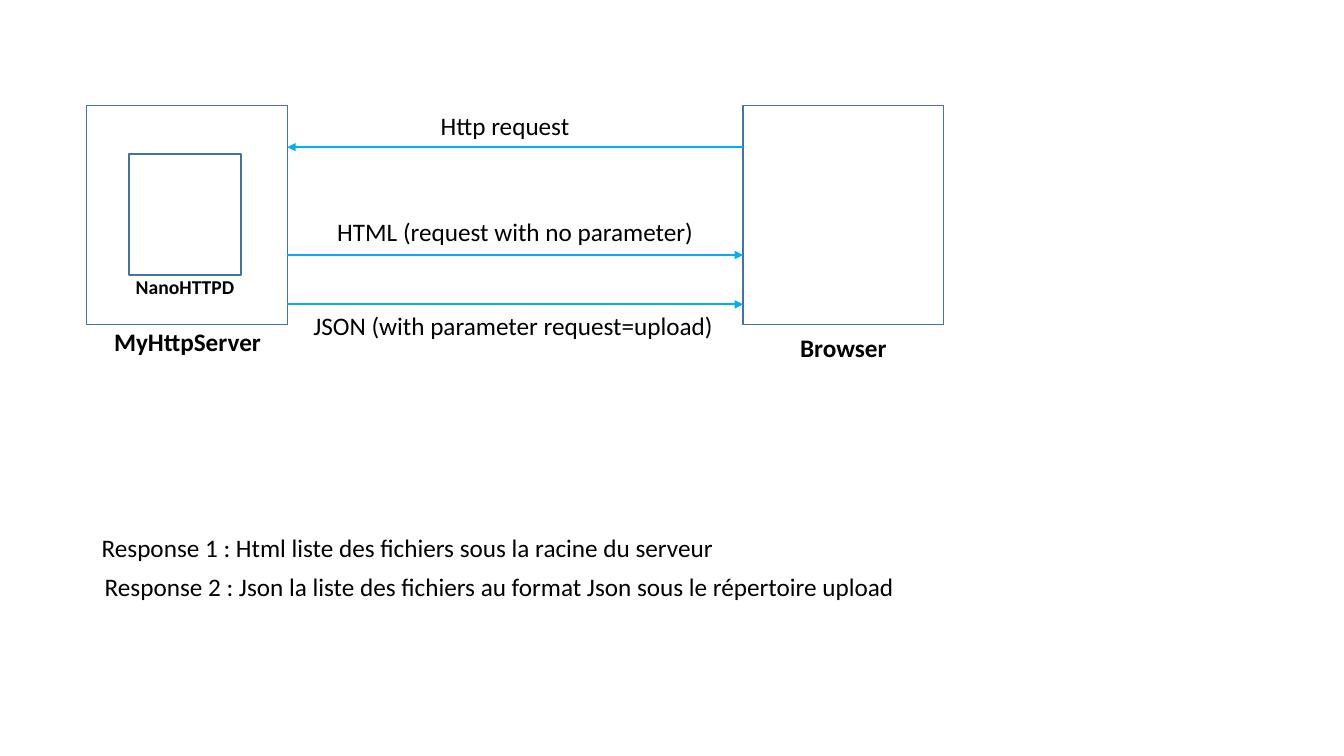
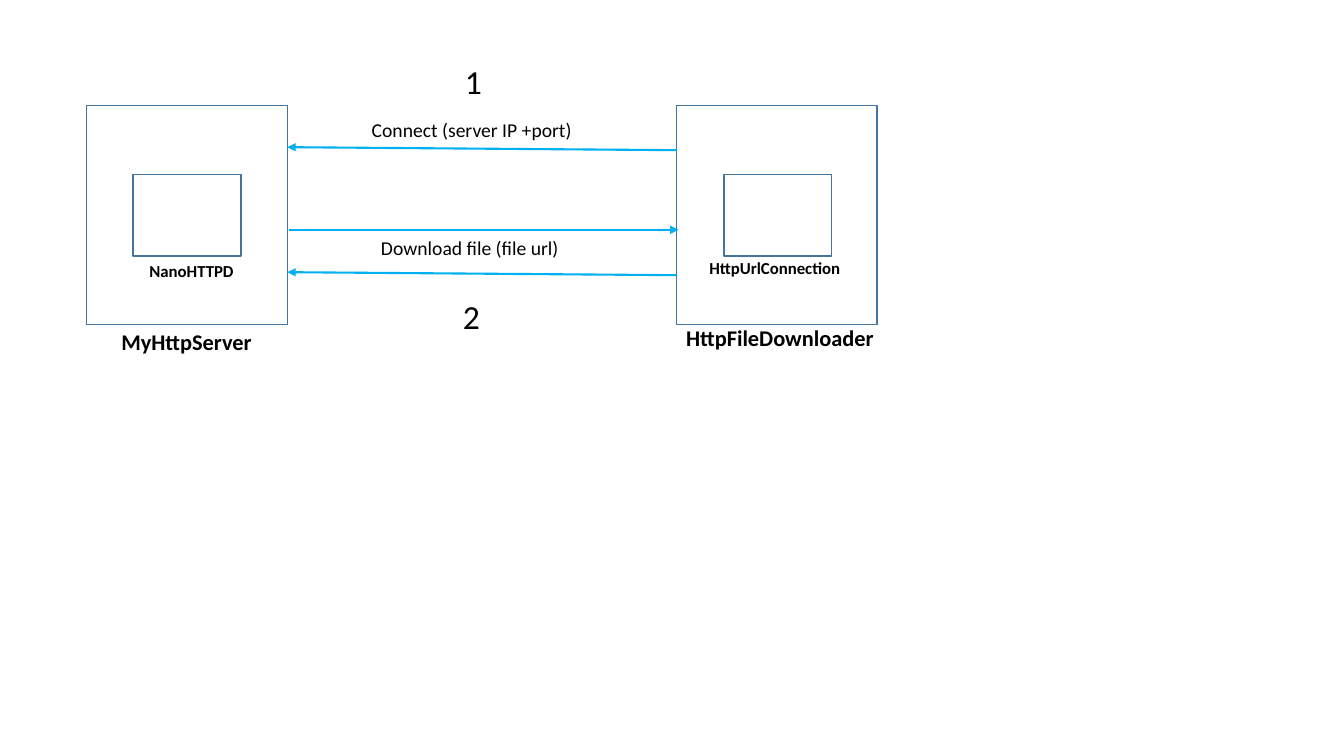
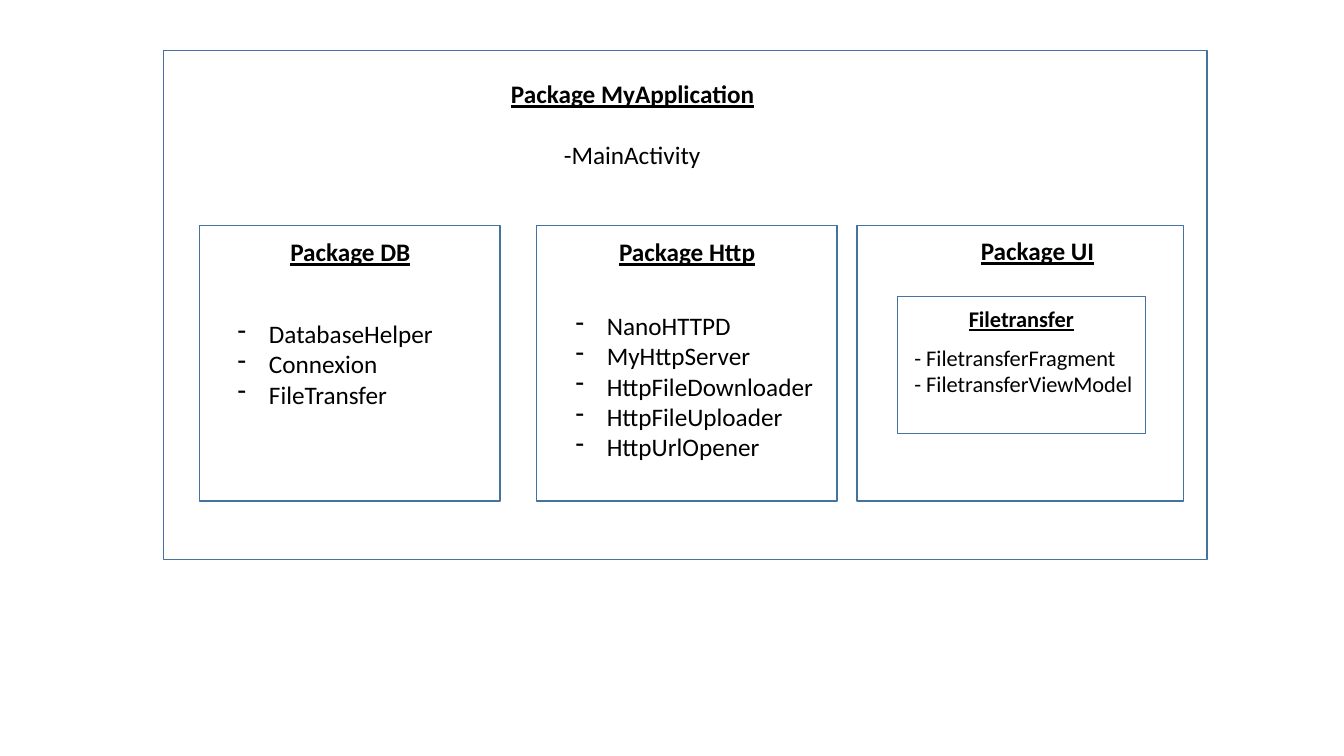
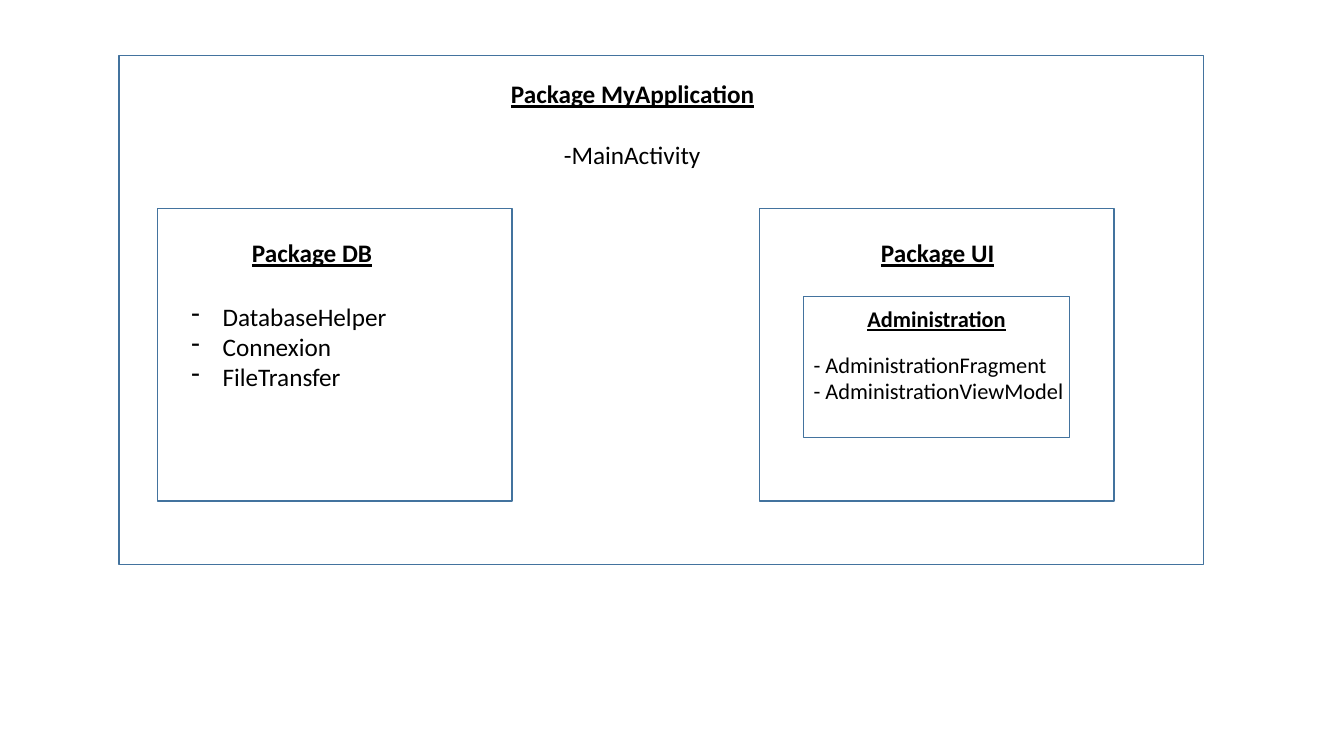
from lxml.etree import SubElement
from pptx import Presentation
from pptx.dml.color import RGBColor
from pptx.enum.shapes import MSO_CONNECTOR, MSO_SHAPE
from pptx.enum.text import MSO_ANCHOR, MSO_AUTO_SIZE, PP_ALIGN
from pptx.oxml.ns import qn
from pptx.util import Inches, Pt

FONT = "Calibri"
BORDER = "43739E"
ARROW = "00B0F0"
INK = "000000"
TITLE_ONLY, BLANK = 5, 6
BULLET_INDENT = Inches(0.31)
HEADING = {"bold": True, "underline": True}
SERVER_BOX = (0.86, 1.05, 1.99, 2.17)
DATABASE_CLASSES = ["DatabaseHelper", "Connexion", "FileTransfer"]
HTTP_CLASSES = ["NanoHTTPD", "MyHttpServer", "HttpFileDownloader",
                "HttpFileUploader", "HttpUrlOpener"]


def color(value):
    return RGBColor.from_string(value)


def add_frame(page, left, top, width, height):
    box = page.shapes.add_shape(
        MSO_SHAPE.RECTANGLE, Inches(left), Inches(top), Inches(width), Inches(height))
    box.shadow.inherit = False
    box.fill.background()
    box.line.color.rgb = color(BORDER)
    box.line.width = Pt(1)


def add_arrow(page, start, end):
    arrow = page.shapes.add_connector(
        MSO_CONNECTOR.STRAIGHT, *(Inches(value) for value in (*start, *end)))
    arrow.line.color.rgb = color(ARROW)
    arrow.line.width = Pt(1.5)
    SubElement(arrow.line._get_or_add_ln(), qn("a:tailEnd"), type="triangle")
    SubElement(arrow._element.spPr, qn("a:effectLst"))


def add_bullet(para):
    properties = para._p.get_or_add_pPr()
    properties.set("marL", str(BULLET_INDENT))
    properties.set("indent", str(-BULLET_INDENT))
    SubElement(properties, qn("a:buChar"), char="-")


def write(box, lines, size, align, bullets=False, **styles):
    frame = box.text_frame
    settings = {"word_wrap": False, "auto_size": MSO_AUTO_SIZE.NONE,
                "vertical_anchor": MSO_ANCHOR.TOP}
    for name, value in settings.items():
        setattr(frame, name, value)
    for index, line in enumerate(lines):
        para = frame.add_paragraph() if index else frame.paragraphs[0]
        para.alignment = align
        if bullets:
            add_bullet(para)
        span = para.add_run()
        span.text = line
        span.font.color.rgb = color(INK)
        for name, value in {"name": FONT, "size": Pt(size), **styles}.items():
            setattr(span.font, name, value)


def text_height(size, count=1):
    return Inches(0.1 + count * size * 1.2 / 72)


def add_lines(page, lines, left, top, width, size=18, align=PP_ALIGN.LEFT, **styles):
    box = page.shapes.add_textbox(
        Inches(left), Inches(top), Inches(width), text_height(size, len(lines)))
    write(box, lines, size, align, **styles)


def add_label(page, text, left, top, width, size=18, **styles):
    add_lines(page, [text], left, top, width, size, PP_ALIGN.CENTER, **styles)


def add_title(page, text, left, top, width, size=18):
    title = page.shapes.title
    bounds = {"left": Inches(left), "top": Inches(top),
              "width": Inches(width), "height": text_height(size)}
    for name, value in bounds.items():
        setattr(title, name, value)
    write(title, [text], size, PP_ALIGN.CENTER, **HEADING)


def add_page(deck, layout):
    return deck.slides.add_slide(deck.slide_layouts[layout])


def build_browser_page(deck):
    page = add_page(deck, BLANK)
    for box in [SERVER_BOX, (7.37, 1.05, 1.99, 2.17), (1.28, 1.53, 1.11, 1.2)]:
        add_frame(page, *box)
    add_label(page, "MyHttpServer", 1.02, 3.19, 1.68, bold=True)
    add_label(page, "Browser", 7.83, 3.25, 1.07, bold=True)
    add_label(page, "NanoHTTPD", 1.24, 2.68, 1.19, 14, bold=True)
    server, browser = 2.85, 7.37
    add_arrow(page, (browser, 1.46), (server, 1.46))
    for top in (2.53, 3.02):
        add_arrow(page, (server, top), (browser, top))
    add_label(page, "Http request", 4.26, 1.05, 1.5)
    add_label(page, "HTML (request with no parameter)", 3.22, 2.1, 3.78)
    add_label(page, "JSON (with parameter request=upload)", 2.99, 3.03, 4.2)
    add_lines(page, ["Response 1 : Html liste des fichiers sous la racine du serveur"],
              0.91, 5.23, 6.52)
    add_lines(page, ["Response 2 : Json la liste des fichiers au format Json "
                     "sous le répertoire upload"], 0.94, 5.62, 8.42)


def build_download_page(deck):
    page = add_page(deck, BLANK)
    for box in [SERVER_BOX, (6.71, 1.05, 1.99, 2.17),
                (1.32, 1.73, 1.07, 0.81), (7.18, 1.73, 1.07, 0.81)]:
        add_frame(page, *box)
    add_label(page, "NanoHTTPD", 1.33, 2.54, 1.14, 12, bold=True)
    add_label(page, "HttpUrlConnection", 6.92, 2.51, 1.53, 12, bold=True)
    add_label(page, "MyHttpServer", 1.09, 3.21, 1.52, 16, bold=True)
    add_label(page, "HttpFileDownloader", 6.69, 3.17, 2.09, 16, bold=True)
    for start, end in [((6.71, 1.49), (2.85, 1.46)),
                       ((2.87, 2.28), (6.73, 2.28)),
                       ((6.71, 2.73), (2.85, 2.7))]:
        add_arrow(page, start, end)
    add_label(page, "Connect (server IP +port)", 3.58, 1.12, 2.2, 14)
    add_label(page, "Download file (file url)", 3.67, 2.29, 1.98, 14)
    add_label(page, "1", 4.51, 0.56, 0.37, 24)
    add_label(page, "2", 4.49, 2.89, 0.37, 24)


def build_package_page(deck, boxes, headings, class_lists, module, members):
    page = add_page(deck, TITLE_ONLY)
    add_title(page, "Package MyApplication", 4.96, 0.73, 2.63)
    add_label(page, "-MainActivity", 5.47, 1.33, 1.6)
    for box in boxes:
        add_frame(page, *box)
    for heading in headings:
        add_label(page, *heading, **HEADING)
    for class_list in class_lists:
        add_lines(page, *class_list, bullets=True)
    add_label(page, *module, 16, **HEADING)
    add_lines(page, *members, 16)


def main():
    deck = Presentation()
    deck.slide_width, deck.slide_height = Inches(13.33), Inches(7.5)
    build_browser_page(deck)
    build_download_page(deck)
    build_package_page(
        deck,
        boxes=[(1.62, 0.5, 10.35, 5.05), (1.98, 2.24, 2.98, 2.73),
               (5.32, 2.24, 2.98, 2.73), (8.5, 2.24, 3.24, 2.73),
               (8.9, 2.94, 2.46, 1.36)],
        headings=[("Package DB", 2.77, 2.3, 1.41), ("Package Http", 6.03, 2.3, 1.57),
                  ("Package UI", 9.62, 2.29, 1.34)],
        class_lists=[(DATABASE_CLASSES, 2.26, 3.11, 2.16),
                     (HTTP_CLASSES, 5.61, 3.03, 2.59)],
        module=("Filetransfer", 9.5, 2.98, 1.26),
        members=(["- FiletransferFragment", "- FiletransferViewModel"], 8.97, 3.36, 2.36))
    build_package_page(
        deck,
        boxes=[(1.18, 0.55, 10.76, 5.05), (1.56, 2.07, 3.52, 2.9),
               (7.53, 2.07, 3.52, 2.9), (7.97, 2.94, 2.64, 1.4)],
        headings=[("Package DB", 2.39, 2.31, 1.41), ("Package UI", 8.63, 2.31, 1.34)],
        class_lists=[(DATABASE_CLASSES, 1.8, 2.94, 2.16)],
        module=("Administration", 8.49, 2.98, 1.6),
        members=(["- AdministrationFragment", "- AdministrationViewModel"],
                 7.97, 3.43, 2.68))
    deck.save("out.pptx")


if __name__ == "__main__":
    main()
